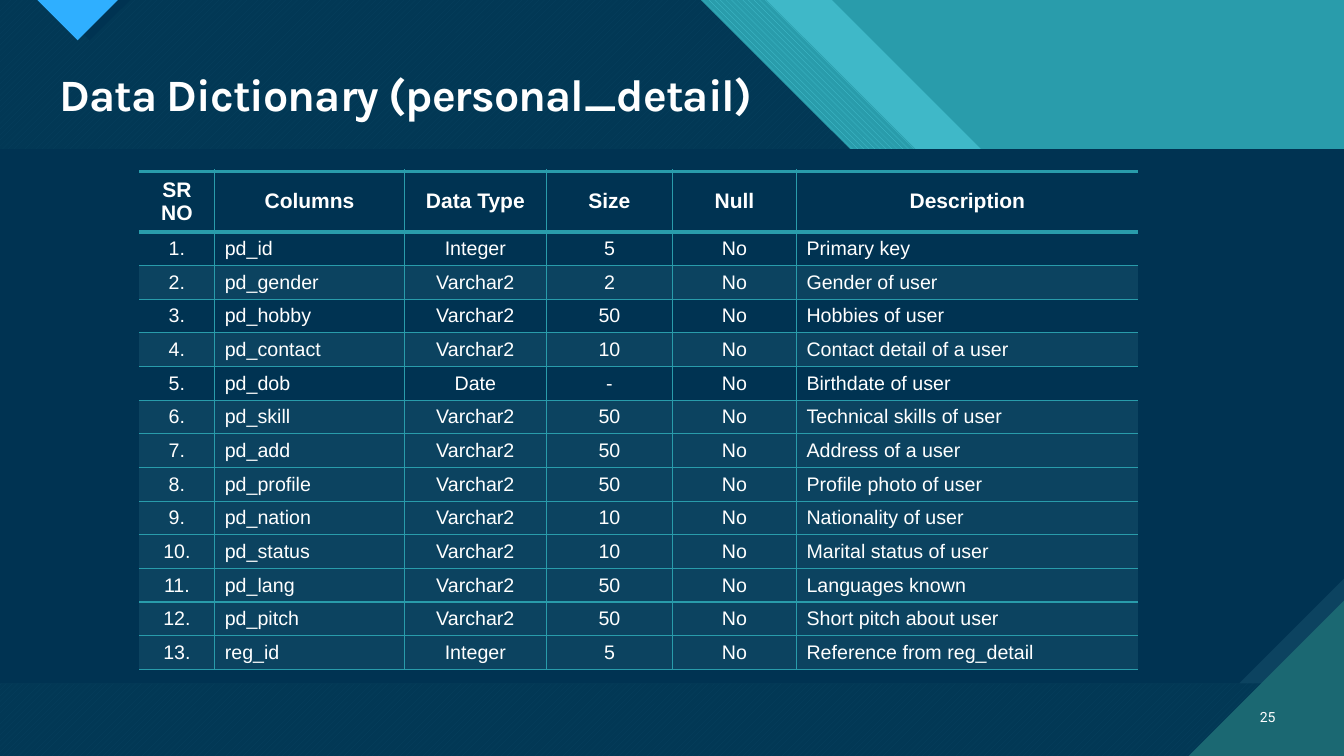
from pptx import Presentation
from pptx.dml.color import RGBColor
from pptx.enum.dml import MSO_PATTERN
from pptx.enum.shapes import MSO_SHAPE
from pptx.enum.text import MSO_ANCHOR, PP_ALIGN
from pptx.oxml.ns import qn
from pptx.util import Inches, Pt
from lxml.etree import SubElement

WHITE = RGBColor(0xFF, 0xFF, 0xFF)
NAVY = RGBColor(0x00, 0x33, 0x52)
SLATE = RGBColor(0x0C, 0x43, 0x60)
TEAL = RGBColor(0x29, 0x9C, 0xAB)
AQUA = RGBColor(0x47, 0xC3, 0xD3)
PINE = RGBColor(0x1B, 0x68, 0x72)
BLUE = RGBColor(0x2F, 0xAF, 0xFF)

W, H = 13.33, 7.5
NO_STYLE = "{2D5ABB26-0587-4C30-8999-92F81FD0307C}"
COL_WIDTHS = (0.75, 1.88, 1.41, 1.25, 1.23, 3.39)
HEADER_H, BODY_H = 0.57, 4.34
LEFT_COLS = (1, 5)
PLAIN_ROWS = (0, 1, 3, 5)
HEADER = ("SR NO", "Columns", "Data Type", "Size", "Null", "Description")
FIELDS = (
    ("pd_id", "Integer", "5", "Primary key"),
    ("pd_gender", "Varchar2", "2", "Gender of user"),
    ("pd_hobby", "Varchar2", "50", "Hobbies of user"),
    ("pd_contact", "Varchar2", "10", "Contact detail of a user"),
    ("pd_dob", "Date", "-", "Birthdate of user"),
    ("pd_skill", "Varchar2", "50", "Technical skills of user"),
    ("pd_add", "Varchar2", "50", "Address of a user"),
    ("pd_profile", "Varchar2", "50", "Profile photo of user"),
    ("pd_nation", "Varchar2", "10", "Nationality of user"),
    ("pd_status", "Varchar2", "10", "Marital status of user"),
    ("pd_lang", "Varchar2", "50", "Languages known"),
    ("pd_pitch", "Varchar2", "50", "Short pitch about user"),
    ("reg_id", "Integer", "5", "Reference from reg_detail"),
)


def paint(sp, color, alpha=100):
    """Give a shape a flat fill without line or shadow."""
    sp.shadow.inherit = False
    sp.line.fill.background()
    sp.fill.solid()
    sp.fill.fore_color.rgb = color
    if alpha < 100:
        clr = sp.fill._xPr.find(".//" + qn("a:srgbClr"))
        SubElement(clr, qn("a:alpha"), val=str(alpha * 1000))


def hatch(sp, pattern, fore, back):
    """Give a shape a patterned fill."""
    sp.fill.patterned()
    sp.fill.pattern = pattern
    sp.fill.fore_color.rgb = fore
    sp.fill.back_color.rgb = back


def add_rect(s, x, y, w, h, color):
    """Add a flat rectangle."""
    sp = s.shapes.add_shape(MSO_SHAPE.RECTANGLE, Inches(x), Inches(y), Inches(w), Inches(h))
    paint(sp, color)


def add_polygon(s, points, color, alpha=100):
    """Add a closed flat outline through points in inches."""
    pts = [(Inches(x), Inches(y)) for x, y in points]
    fb = s.shapes.build_freeform(*pts[0])
    fb.add_line_segments(pts[1:], close=True)
    sp = fb.convert_to_shape()
    paint(sp, color, alpha)
    return sp


def add_band(s, x, color, alpha=100):
    """Add a full-height area whose slanted right edge starts at x."""
    step = 2.97
    shelf = x + 4.23
    points = [(0, 0), (x, 0), (x + step, step), (shelf, step),
              (W, step + W - shelf), (W, H), (0, H)]
    return add_polygon(s, points, color, alpha)


def add_backdrop(s):
    """Draw the slanted bands and the blue tab."""
    add_rect(s, 0, 0, W, H, TEAL)
    add_band(s, 8.25, AQUA, 74)
    hatch(add_band(s, 7.6, TEAL), MSO_PATTERN.WIDE_DOWNWARD_DIAGONAL, AQUA, TEAL)
    hatch(add_band(s, 6.95, PINE), MSO_PATTERN.WIDE_UPWARD_DIAGONAL, AQUA, PINE)
    add_band(s, 6.95, NAVY, 90)
    for x, color in ((0.49, NAVY), (0.37, BLUE)):
        add_polygon(s, [(x, 0), (x + 0.8, 0), (x + 0.4, 0.4)], color)


def add_panel(s, x, y, w, h):
    """Draw the content panel with its cut corner and the page corner."""
    cut, corner = 1.04, 1.54
    right, bottom = x + w, y + h
    add_rect(s, x, y, w, h, SLATE)
    add_polygon(s, [(x, y), (right, y), (right, bottom - cut),
                    (right - cut, bottom), (x, bottom)], NAVY)
    add_polygon(s, [(W - corner, H), (W, H), (W, H - corner)], PINE)


def set_font(p, name, size, bold=False):
    """Format a paragraph in white."""
    f = p.font
    f.name, f.size, f.bold = name, Pt(size), bold
    f.color.rgb = WHITE


def add_title(s, x, y, w, h):
    """Place the title placeholder above the backdrop."""
    sp = s.shapes.title
    s.shapes._spTree.append(sp._element)
    sp.left, sp.top, sp.width, sp.height = (Inches(v) for v in (x, y, w, h))
    tf = sp.text_frame
    tf.text = "Data Dictionary (personal_detail)"
    tf.vertical_anchor = MSO_ANCHOR.MIDDLE
    p = tf.paragraphs[0]
    p.alignment = PP_ALIGN.LEFT
    p.line_spacing = 0.9
    set_font(p, "Karla", 32, True)
    p.runs[0].font._element.set("spc", "-70")


def add_page_number(s, x, y, w, h):
    """Write the page number."""
    tf = s.shapes.add_textbox(Inches(x), Inches(y), Inches(w), Inches(h)).text_frame
    tf.word_wrap = True
    tf.vertical_anchor = MSO_ANCHOR.MIDDLE
    p = tf.paragraphs[0]
    p.text = "25"
    p.alignment = PP_ALIGN.RIGHT
    set_font(p, "Roboto", 10)


def set_border(cell, side, width):
    """Draw one teal cell border."""
    ln = SubElement(cell._tc.get_or_add_tcPr(), qn("a:" + side), w=str(Pt(width)))
    fill = SubElement(ln, qn("a:solidFill"))
    SubElement(fill, qn("a:srgbClr"), val=str(TEAL))


def format_cell(cell, row, col):
    """Set borders, fill and text format of a cell by its position."""
    if col > 0:
        set_border(cell, "lnL", 1)
    if col < len(COL_WIDTHS) - 1:
        set_border(cell, "lnR", 1)
    set_border(cell, "lnT", 3 if row < 2 else 1)
    set_border(cell, "lnB", 3 if row == 0 else 1)
    if row in PLAIN_ROWS:
        cell.fill.background()
    else:
        cell.fill.solid()
        cell.fill.fore_color.rgb = SLATE
    cell.vertical_anchor = MSO_ANCHOR.MIDDLE
    p = cell.text_frame.paragraphs[0]
    is_left = row > 0 and col in LEFT_COLS
    p.alignment = PP_ALIGN.LEFT if is_left else PP_ALIGN.CENTER
    set_font(p, "Arial", 14 if row else 15, row == 0)


def add_dictionary(s, x, y):
    """Build the data dictionary table."""
    rows = [HEADER]
    for i, (name, kind, size, text) in enumerate(FIELDS, 1):
        rows.append((f"{i}.", name, kind, size, "No", text))
    frame = s.shapes.add_table(len(rows), len(HEADER), Inches(x), Inches(y),
                               Inches(sum(COL_WIDTHS)), Inches(HEADER_H + BODY_H))
    tbl = frame.table
    tbl.horz_banding = False
    tbl._tbl.tblPr.find(qn("a:tableStyleId")).text = NO_STYLE
    for col, width in zip(tbl.columns, COL_WIDTHS):
        col.width = Inches(width)
    for r, values in enumerate(rows):
        tbl.rows[r].height = Inches(BODY_H / len(FIELDS) if r else HEADER_H)
        for c, value in enumerate(values):
            cell = tbl.cell(r, c)
            cell.text = value
            format_cell(cell, r, c)


def main():
    """Build and save the slide."""
    prs = Presentation()
    prs.slide_width, prs.slide_height = Inches(W), Inches(H)
    s = prs.slides.add_slide(prs.slide_layouts[5])
    add_backdrop(s)
    add_panel(s, 0, 1.48, W, 5.3)
    add_title(s, 0.49, 0.67, 12.26, 0.59)
    add_page_number(s, 12.31, 6.91, 0.44, 0.4)
    add_dictionary(s, 1.38, 1.7)
    prs.save("out.pptx")


if __name__ == "__main__":
    main()
